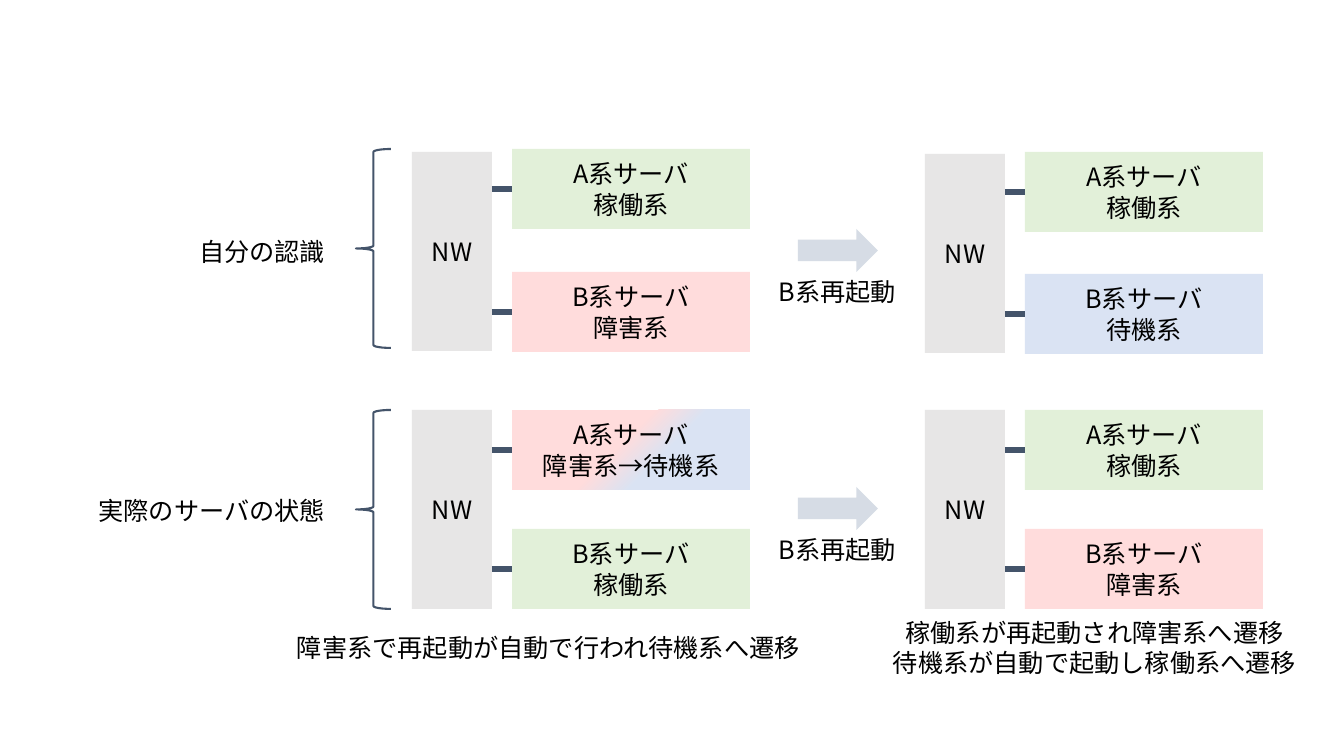
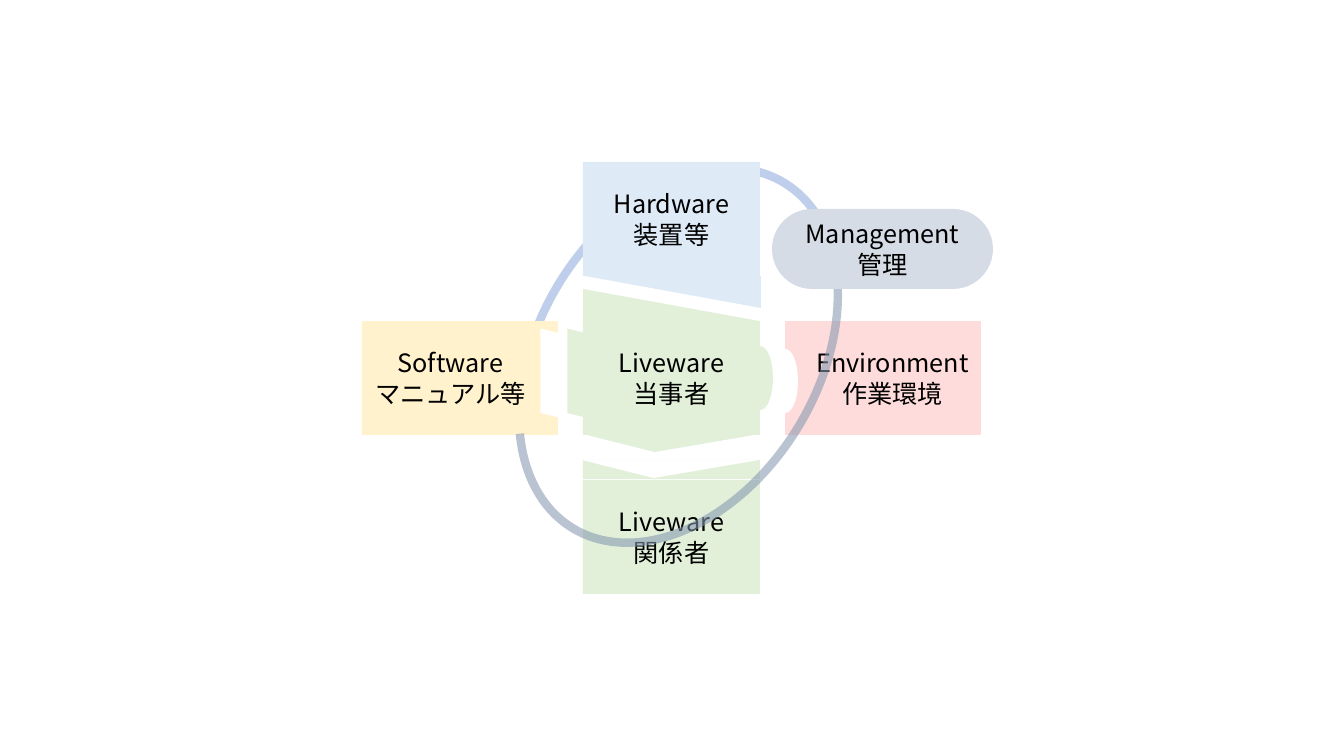
"""Builds two diagrams: server failover states and the human-factors block model."""
from dataclasses import dataclass

from lxml import etree
from pptx import Presentation
from pptx import util as u
from pptx.dml import color as dml
from pptx.enum import shapes as es
from pptx.enum import text as et
from pptx.oxml import ns

PX = 914400 / 100.8
FONT = "Noto Sans CJK JP"
COLOURS = {
    "text": "000000", "paper": "FFFFFF", "green": "E2F0D9", "red": "FFDCDC",
    "blue": "DAE3F3", "sky": "DEEBF7", "yellow": "FFF2CC", "network": "E7E6E6",
    "slate": "D6DCE5", "navy": "44546A", "loop_back": "8FAADC", "loop_front": "8497B0",
}
S = es.MSO_SHAPE
CENTER, LEFT, RIGHT = et.PP_ALIGN.CENTER, et.PP_ALIGN.LEFT, et.PP_ALIGN.RIGHT


@dataclass(frozen=True)
class Piece:
    """A preset shape with its look and optional text."""
    left: int
    top: int
    width: int
    height: int
    fill: str = ""
    text: str = ""
    kind: S = S.RECTANGLE
    rotation: float = 0
    adjust: tuple[float, ...] = ()
    line: str = ""
    line_pt: float = 0
    alpha: int = 100
    flipped: bool = False
    fade_to: str = ""


@dataclass(frozen=True)
class Label:
    """Free text in a box that wraps."""
    left: int
    top: int
    width: int
    height: int
    text: str
    align: et.PP_ALIGN = CENTER


@dataclass(frozen=True)
class Cluster:
    """A network block linked to two servers, each given as top, text, fill, fade."""
    left: int
    top: int
    servers: tuple[tuple[int, str, str, str], ...]


@dataclass(frozen=True)
class Scenario:
    """One row: its name, brace, arrow and the clusters before and after."""
    name: str
    brace_top: int
    arrow_top: int
    name_top: int
    before: Cluster
    after: Cluster


def px(length: float) -> int:
    """Turn pixels into EMU."""
    return round(length * PX)


def rgb(name: str) -> dml.RGBColor:
    """Look up a colour."""
    return dml.RGBColor.from_string(COLOURS[name])


def write(frame, text: str, align: et.PP_ALIGN) -> None:
    """Set text and format every run."""
    frame.word_wrap = True
    frame.text = text
    for paragraph in frame.paragraphs:
        paragraph.alignment = align
        for run in paragraph.runs:
            run.font.size = u.Pt(18)
            run.font.name = FONT
            run.font.color.rgb = rgb("text")
            east_asian = etree.SubElement(run.font._element, ns.qn("a:ea"))
            east_asian.set("typeface", FONT)


def paint(shape, piece: Piece) -> None:
    """Fill a shape plainly, with a fade, or not at all."""
    if piece.fade_to:
        shape.fill.gradient()
        shape.fill.gradient_angle = 315
        looks = ((0.45, piece.fill), (0.62, piece.fade_to))
        for stop, (position, colour) in zip(shape.fill.gradient_stops, looks):
            stop.position = position
            stop.color.rgb = rgb(colour)
    elif piece.fill:
        shape.fill.solid()
        shape.fill.fore_color.rgb = rgb(piece.fill)
    else:
        shape.fill.background()


def outline(shape, piece: Piece) -> None:
    """Draw or remove the outline."""
    if not piece.line:
        shape.line.fill.background()
        return
    shape.line.color.rgb = rgb(piece.line)
    shape.line.width = u.Pt(piece.line_pt)
    if piece.alpha < 100:
        colour = shape.line._ln.find(".//" + ns.qn("a:srgbClr"))
        etree.SubElement(colour, ns.qn("a:alpha")).set("val", str(piece.alpha * 1000))


def draw_piece(slide, piece: Piece) -> None:
    """Draw one preset shape."""
    shape = slide.shapes.add_shape(
        piece.kind, px(piece.left), px(piece.top), px(piece.width), px(piece.height))
    shape.shadow.inherit = False
    shape.rotation = piece.rotation
    for index, value in enumerate(piece.adjust):
        shape.adjustments[index] = value
    if piece.flipped:
        shape._element.spPr.find(ns.qn("a:xfrm")).set("flipH", "1")
    paint(shape, piece)
    outline(shape, piece)
    if piece.text:
        shape.text_frame.vertical_anchor = et.MSO_ANCHOR.MIDDLE
        write(shape.text_frame, piece.text, CENTER)


def draw_label(slide, label: Label) -> None:
    """Draw one text box."""
    box = slide.shapes.add_textbox(
        px(label.left), px(label.top), px(label.width), px(label.height))
    write(box.text_frame, label.text, label.align)
    box.text_frame.auto_size = et.MSO_AUTO_SIZE.SHAPE_TO_FIT_TEXT


def draw_link(slide, left: int, right: int, y: int) -> None:
    """Draw a thick horizontal link."""
    link = slide.shapes.add_connector(
        es.MSO_CONNECTOR.STRAIGHT, px(left), px(y), px(right), px(y))
    link.line.color.rgb = rgb("navy")
    link.line.width = u.Pt(4.5)
    etree.SubElement(link._element.spPr, ns.qn("a:effectLst"))


def draw_cluster(slide, cluster: Cluster) -> None:
    """Draw the network block, its servers and their links."""
    network_right = cluster.left + 80
    server_left = cluster.left + 100
    for top, text, fill, fade in cluster.servers:
        draw_piece(slide, Piece(server_left, top, 238, 80, fill, text, fade_to=fade))
    draw_piece(slide, Piece(cluster.left, cluster.top, 80, 199, "network", "NW"))
    for top, *_ in cluster.servers:
        draw_link(slide, network_right, server_left, top + 40)


def draw_scenario(slide, row: Scenario) -> None:
    """Draw one row of the failover diagram."""
    draw_cluster(slide, row.before)
    draw_label(slide, Label(0, row.name_top, 335, 40, row.name, RIGHT))
    draw_piece(slide, Piece(356, row.brace_top, 35, 199, kind=S.RIGHT_BRACE,
                            line="navy", line_pt=1.5, flipped=True))
    draw_piece(slide, Piece(798, row.arrow_top, 80, 43, "slate", kind=S.RIGHT_ARROW))
    draw_label(slide, Label(757, row.arrow_top + 42, 161, 40, "B系再起動"))
    draw_cluster(slide, row.after)


def block(column: int, row: int, fill: str, text: str) -> Piece:
    """Place a model block on the three-by-three grid."""
    return Piece(362 + 221 * column, 162 + 159 * row, 177, 114, fill, text)


def loop(line: str, start: float, end: float) -> Piece:
    """Describe one part of the tilted management loop."""
    return Piece(476, 216, 405, 279, kind=S.ARC, rotation=301.7, adjust=(start, end),
                 line=line, line_pt=6, alpha=56)


A_ACTIVE = "A系サーバ\n稼働系"
B_ACTIVE = "B系サーバ\n稼働系"
B_FAILED = "B系サーバ\n障害系"
B_STANDBY = "B系サーバ\n待機系"
A_RECOVERING = "A系サーバ\n障害系→待機系"

SCENARIOS = (
    Scenario("自分の認識", 149, 229, 231,
             Cluster(412, 152, ((149, A_ACTIVE, "green", ""), (272, B_FAILED, "red", ""))),
             Cluster(925, 154, ((152, A_ACTIVE, "green", ""), (274, B_STANDBY, "blue", "")))),
    Scenario("実際のサーバの状態", 410, 487, 490,
             Cluster(412, 410, ((410, A_RECOVERING, "red", "blue"),
                                (529, B_ACTIVE, "green", ""))),
             Cluster(925, 410, ((410, A_ACTIVE, "green", ""), (529, B_FAILED, "red", "")))),
)
OUTCOMES = (
    Label(287, 627, 544, 40, "障害系で再起動が自動で行われ待機系へ遷移", LEFT),
    Label(870, 612, 449, 72,
          "稼働系が再起動され障害系へ遷移\n待機系が自動で起動し稼働系へ遷移"),
)
MODEL = (
    Piece(583, 460, 177, 19, "green"),
    Piece(785, 321, 19, 114, "red"),
    Piece(773, 349, 25, 64, "paper", kind=S.OVAL),
    loop("loop_back", 142.384, 8.03),
    block(1, 1, "green", "Liveware\n当事者"),
    block(1, 2, "green", "Liveware\n関係者"),
    block(2, 1, "red", "Environment\n作業環境"),
    block(1, 0, "sky", "Hardware\n装置等"),
    block(0, 1, "yellow", "Software\nマニュアル等"),
    Piece(772, 209, 221, 80, "slate", "Management\n管理",
          kind=S.ROUNDED_RECTANGLE, adjust=(0.5,)),
    loop("loop_front", 21.407, 127.226),
    Piece(583, 289, 176, 32, "green", kind=S.RIGHT_TRIANGLE),
    Piece(585, 276, 176, 32, "sky", kind=S.RIGHT_TRIANGLE, rotation=180),
    Piece(532, 364, 89, 18, "green", kind=S.PARALLELOGRAM, rotation=90),
    Piece(539, 321, 19, 114, "yellow"),
    Piece(505, 364, 89, 18, "paper", kind=S.PARALLELOGRAM, rotation=90),
    Piece(748, 346, 25, 64, "green", kind=S.OVAL),
    Piece(583, 434, 177, 18, "green", kind=S.ISOSCELES_TRIANGLE, rotation=180,
          adjust=(0.595,)),
    Piece(582, 460, 177, 18, "paper", kind=S.ISOSCELES_TRIANGLE, rotation=180,
          adjust=(0.595,)),
)


def main() -> None:
    """Build and save both slides."""
    deck = Presentation()
    deck.slide_width, deck.slide_height = px(1344), px(756)
    blank = deck.slide_layouts[6]
    failover = deck.slides.add_slide(blank)
    for row in SCENARIOS:
        draw_scenario(failover, row)
    for outcome in OUTCOMES:
        draw_label(failover, outcome)
    model = deck.slides.add_slide(blank)
    for piece in MODEL:
        draw_piece(model, piece)
    deck.save("out.pptx")


main()
